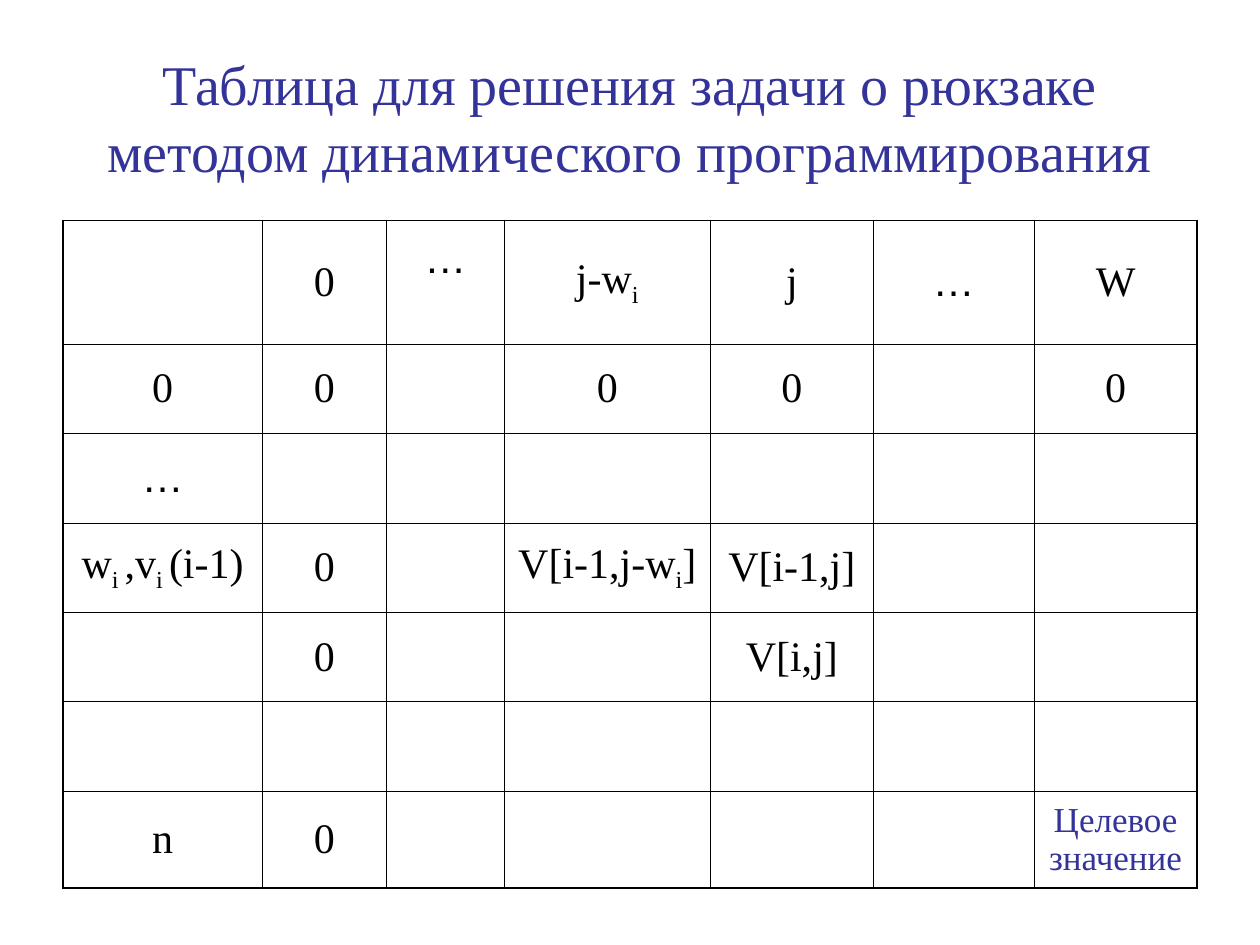
import pptx
import pptx.dml.color
import pptx.enum.text
import pptx.oxml
import pptx.oxml.ns
import pptx.util
from pptx.util import Inches

THEME = {
    "accent": "333399",
    "ink": "000000",
    "serif": "Times New Roman",
    "sans": "Arial",
    "title_size": 32,
    "cell_size": 24,
    "note_size": 20,
    "inner_line": 0.45,
    "outer_line": 1.08,
}

TITLE = "Таблица для решения задачи о рюкзаке методом динамического программирования"
GOAL = "Целевое значение"

# Text between bars is a subscript.
ROWS = [
    ["", "0", "…", "j-w|i|", "j", "…", "W"],
    ["0", "0", "", "0", "0", "", "0"],
    ["…", "", "", "", "", "", ""],
    ["w|i |,v|i |(i-1)", "0", "", "V[i-1,j-w|i|]", "V[i-1,j]", "", ""],
    ["", "0", "", "", "V[i,j]", "", ""],
    ["", "", "", "", "", "", ""],
    ["n", "0", "", "", "", "", GOAL],
]
COLUMN_WIDTHS = [1.58, 0.99, 0.93, 1.64, 1.29, 1.28, 1.29]
ROW_HEIGHTS = [0.98] + [0.71] * 5 + [0.77]


def add_run(paragraph, text, size, color, font_name):
    run = paragraph.add_run()
    run.text = text
    settings = {"size": pptx.util.Pt(size), "name": font_name}
    for name, value in settings.items():
        setattr(run.font, name, value)
    run.font.color.rgb = pptx.dml.color.RGBColor.from_string(color)
    return run


def set_borders(cell, widths):
    """Draw the left, right, top and bottom lines, with widths in points."""
    properties = cell._tc.get_or_add_tcPr()
    for index, (side, width) in enumerate(zip("LRTB", widths)):
        line = pptx.oxml.parse_xml(
            f'<a:ln{side} {pptx.oxml.ns.nsdecls("a")} w="{pptx.util.Pt(width)}">'
            f'<a:solidFill><a:srgbClr val="{THEME["ink"]}"/></a:solidFill></a:ln{side}>'
        )
        properties.insert(index, line)


presentation = pptx.Presentation()
presentation.slide_width = Inches(10)
presentation.slide_height = Inches(7.5)
slide = presentation.slides.add_slide(presentation.slide_layouts[5])

title = slide.shapes.title
title_box = {"left": 0.5, "top": 0.3, "width": 9, "height": 1.25}
for name, value in title_box.items():
    setattr(title, name, Inches(value))
title.text_frame.vertical_anchor = pptx.enum.text.MSO_ANCHOR.MIDDLE
title_paragraph = title.text_frame.paragraphs[0]
title_paragraph.alignment = pptx.enum.text.PP_ALIGN.CENTER
add_run(title_paragraph, TITLE, THEME["title_size"], THEME["accent"], THEME["serif"])

table = slide.shapes.add_table(
    len(ROWS), len(COLUMN_WIDTHS),
    Inches(0.5), Inches(1.75), Inches(sum(COLUMN_WIDTHS)), Inches(sum(ROW_HEIGHTS)),
).table
table.first_row = False
table.horz_banding = False
for column, width in zip(table.columns, COLUMN_WIDTHS):
    column.width = Inches(width)
for row, height in zip(table.rows, ROW_HEIGHTS):
    row.height = Inches(height)

last_row = len(ROWS) - 1
last_column = len(COLUMN_WIDTHS) - 1
for row_index, texts in enumerate(ROWS):
    for column_index, text in enumerate(texts):
        cell = table.cell(row_index, column_index)
        cell.fill.background()
        cell.vertical_anchor = pptx.enum.text.MSO_ANCHOR.MIDDLE
        on_edge = [
            column_index == 0,
            column_index == last_column,
            row_index == 0,
            row_index == last_row,
        ]
        set_borders(cell, [THEME["outer_line" if edge else "inner_line"] for edge in on_edge])
        if not text:
            continue

        is_goal = text == GOAL
        size = THEME["note_size" if is_goal else "cell_size"]
        color = THEME["accent" if is_goal else "ink"]
        font_name = THEME["sans" if text == "…" else "serif"]
        paragraph = cell.text_frame.paragraphs[0]
        paragraph.alignment = pptx.enum.text.PP_ALIGN.CENTER
        paragraph.space_before = pptx.util.Pt(5 if is_goal else 6)
        for part_index, part in enumerate(text.split("|")):
            if part:
                run = add_run(paragraph, part, size, color, font_name)
                if part_index % 2:
                    run._r.get_or_add_rPr().set("baseline", "-25000")

# The first ellipsis of the header sits above the middle of its cell.
table.cell(0, 2).margin_bottom = Inches(0.42)

presentation.save("out.pptx")
